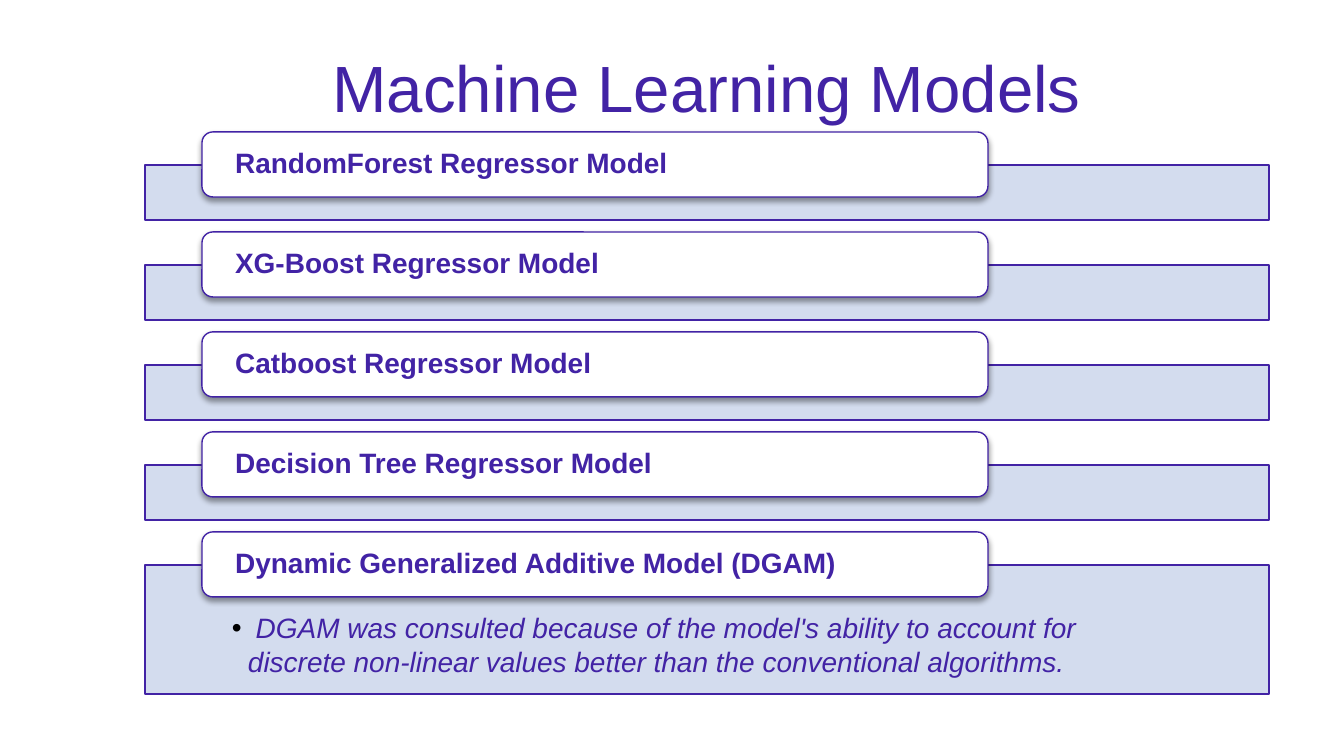
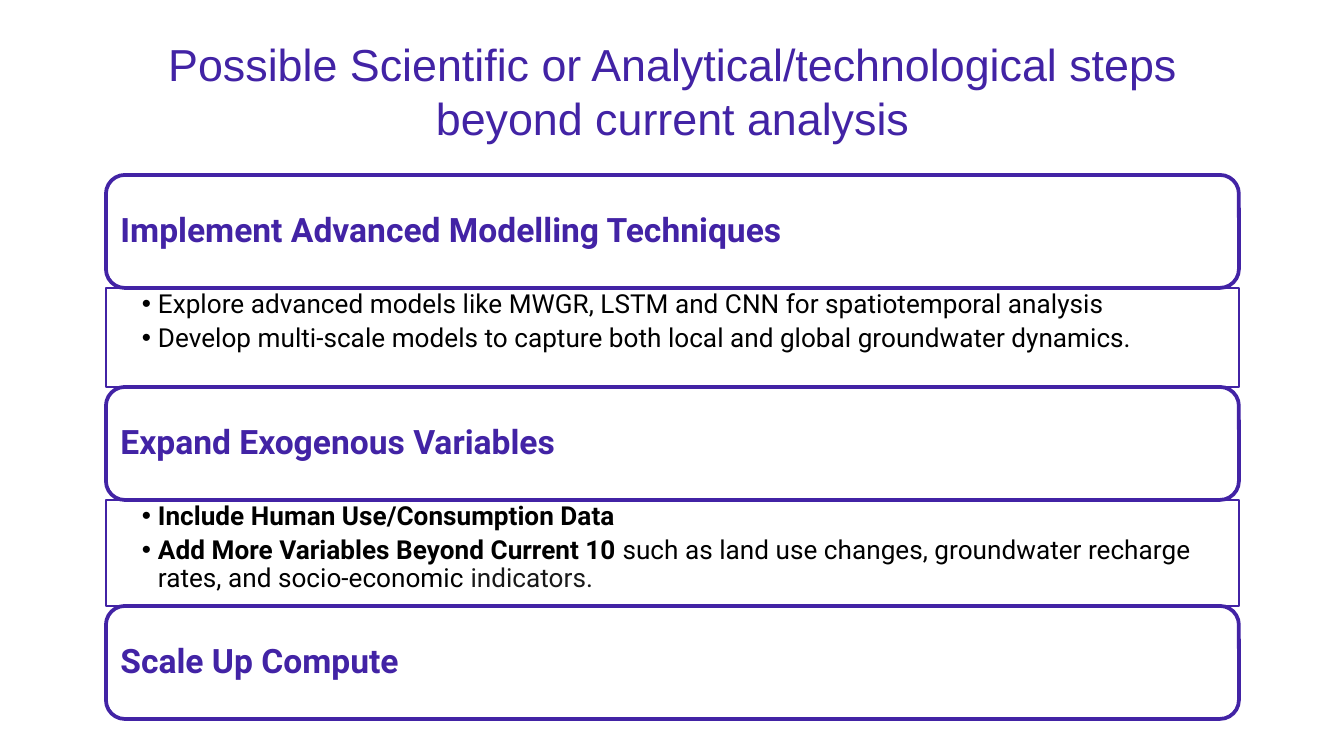
"""Build two slides: a list of machine learning models and the next analytical steps."""
from lxml import etree
from pptx import Presentation
from pptx.dml.color import RGBColor
from pptx.enum.shapes import MSO_SHAPE
from pptx.enum.text import MSO_ANCHOR, MSO_AUTO_SIZE, PP_ALIGN
from pptx.oxml.ns import qn
from pptx.util import Pt

RECTANGLE = MSO_SHAPE.RECTANGLE
ROUNDED = MSO_SHAPE.ROUNDED_RECTANGLE
MIDDLE, TOP = MSO_ANCHOR.MIDDLE, MSO_ANCHOR.TOP
LEFT, CENTER = PP_ALIGN.LEFT, PP_ALIGN.CENTER
PX = 914400 / 134.4


class Theme:
    purple = RGBColor(0x42, 0x23, 0xA5)
    pale_blue = RGBColor(0xCF, 0xD9, 0xED)
    white = RGBColor(0xFF, 0xFF, 0xFF)
    black = RGBColor(0, 0, 0)
    charcoal = RGBColor(0x19, 0x19, 0x19)
    thin, thick = Pt(0.75), Pt(2)
    title = {"name": "Arial", "size": Pt(35), "color": purple}
    long_title = {**title, "size": Pt(24)}
    model = {"name": "Arial", "size": Pt(15), "color": purple, "bold": True}
    note = {**model, "bold": False, "italic": True}
    step = {"name": "Roboto", "size": Pt(18), "color": purple, "bold": True}
    detail = {"name": "Roboto", "size": Pt(14), "color": black, "bold": False}


def style_box(shape, box, fill, line_width, opacity=100):
    """Place a shape and give it its fill and outline."""
    shape.left, shape.top, shape.width, shape.height = [round(value * PX) for value in box]
    shape.shadow.inherit = False
    if fill is None:
        shape.fill.background()
    else:
        shape.fill.solid()
        shape.fill.fore_color.rgb = fill
        if opacity < 100:
            color = shape.element.spPr.find(qn("a:solidFill"))[0]
            etree.SubElement(color, qn("a:alpha"), val=str(opacity * 1000))
    if line_width:
        shape.line.color.rgb = Theme.purple
        shape.line.width = line_width
    else:
        shape.line.fill.background()
    return shape


def write(shape, paragraphs, font, insets, anchor=MIDDLE, bullet=False, **paragraph_format):
    """Fill a shape with paragraphs, each a list of (text, font changes) runs."""
    frame = shape.text_frame
    sides = ("margin_left", "margin_top", "margin_right", "margin_bottom")
    frame_format = {side: round(inset * PX) for side, inset in zip(sides, insets)}
    frame_format.update(word_wrap=True, auto_size=MSO_AUTO_SIZE.NONE, vertical_anchor=anchor)
    for name, value in frame_format.items():
        setattr(frame, name, value)
    for index, runs in enumerate(paragraphs):
        paragraph = frame.add_paragraph() if index else frame.paragraphs[0]
        if bullet:
            properties = paragraph._p.get_or_add_pPr()
            properties.set("marL", str(round(16 * PX)))
            properties.set("indent", str(round(-16 * PX)))
            color = etree.SubElement(properties, qn("a:buClr"))
            etree.SubElement(color, qn("a:srgbClr"), val=str(Theme.black))
            etree.SubElement(properties, qn("a:buFont"), typeface="Arial")
            etree.SubElement(properties, qn("a:buChar"), char="•")
        formats = {"alignment": LEFT, "space_before": Pt(0), **paragraph_format}
        for name, value in formats.items():
            setattr(paragraph, name, value)
        for text, changes in runs:
            run = paragraph.add_run()
            run.text = text
            for name, value in {**font, **changes}.items():
                if name == "color":
                    run.font.color.rgb = value
                else:
                    setattr(run.font, name, value)


presentation = Presentation()
presentation.slide_width, presentation.slide_height = round(1344 * PX), round(756 * PX)

slides = []
for title, box, font, layout in [
    ("Machine Learning Models", (145, 44, 1124, 85), Theme.title, 1),
    ("Possible Scientific or Analytical/technological steps beyond current analysis",
     (106, 32, 1133, 117), Theme.long_title, 3),
]:
    slide = presentation.slides.add_slide(presentation.slide_layouts[layout])
    style_box(slide.shapes.title, box, None, None)
    write(slide.shapes.title, [[(title, {})]], font, (13, 13, 13, 13), alignment=CENTER)
    slides.append(slide)
models_slide, steps_slide = slides

models = [
    "RandomForest Regressor Model",
    "XG-Boost Regressor Model",
    "Catboost Regressor Model",
    "Decision Tree Regressor Model",
    "Dynamic Generalized Additive Model (DGAM)",
]
dgam_note = (
    "DGAM was consulted because of the model's ability to account for "
    "discrete non-linear values better than the conventional algorithms."
)
for index, model in enumerate(models):
    top = 132 + 100 * index
    is_last = index == len(models) - 1
    if is_last:
        bar = models_slide.placeholders[1]
        note_runs = [(" ", {"italic": False}), (dgam_note, {})]
        write(bar, [note_runs], Theme.note, (87, 46, 87, 16), TOP, bullet=True)
    else:
        bar = models_slide.shapes.add_shape(RECTANGLE, 0, 0, 0, 0)
    style_box(bar, (145, top + 33, 1124, 129 if is_last else 55),
              Theme.pale_blue, Theme.thin, opacity=90)
    card = models_slide.shapes.add_shape(ROUNDED, 0, 0, 0, 0)
    style_box(card, (202, top, 786, 65), Theme.white, Theme.thin)
    effects = card.element.spPr.find(qn("a:effectLst"))
    shadow = etree.SubElement(effects, qn("a:outerShdw"), blurRad=str(Pt(3.1)),
                              dist=str(Pt(1.6)), dir="5400000", rotWithShape="0")
    shadow_color = etree.SubElement(shadow, qn("a:srgbClr"), val=str(Theme.black))
    etree.SubElement(shadow_color, qn("a:alpha"), val="38000")
    write(card, [[(model, {})]], Theme.model, (30, 0, 30, 0), line_spacing=0.9)

bold = {"bold": True}
steps = [
    ("Implement Advanced Modelling Techniques", 99, [
        [("Explore advanced models like MWGR, LSTM and CNN for spatiotemporal analysis", {})],
        [("Develop multi-scale models to capture both local and global groundwater dynamics.", {})],
    ]),
    ("Expand Exogenous Variables", 106, [
        [("Include Human Use/Consumption Data", bold)],
        [("Add More Variables Beyond Current 10 ", bold),
         ("such as land use changes, groundwater recharge rates, and socio-economic ", {}),
         ("indicators.", {"color": Theme.charcoal})],
    ]),
    ("Scale Up Compute", 0, []),
]
top, heading_height = 175, 113
for index, (step, list_height, details) in enumerate(steps, start=1):
    heading = steps_slide.shapes.add_shape(ROUNDED, 0, 0, 0, 0)
    style_box(heading, (106, top, 1133, heading_height), Theme.white, Theme.thick)
    write(heading, [[(step, {})]], Theme.step, (9, 9, 9, 9), line_spacing=0.9)
    top += heading_height
    if details:
        detail_list = steps_slide.placeholders[index]
        style_box(detail_list, (106, top, 1133, list_height), None, Theme.thin)
        write(detail_list, details, Theme.detail, (36, 3, 15, 3), TOP, bullet=True,
              line_spacing=0.9, space_after=Pt(2.8))
    top += list_height

presentation.save("out.pptx")
